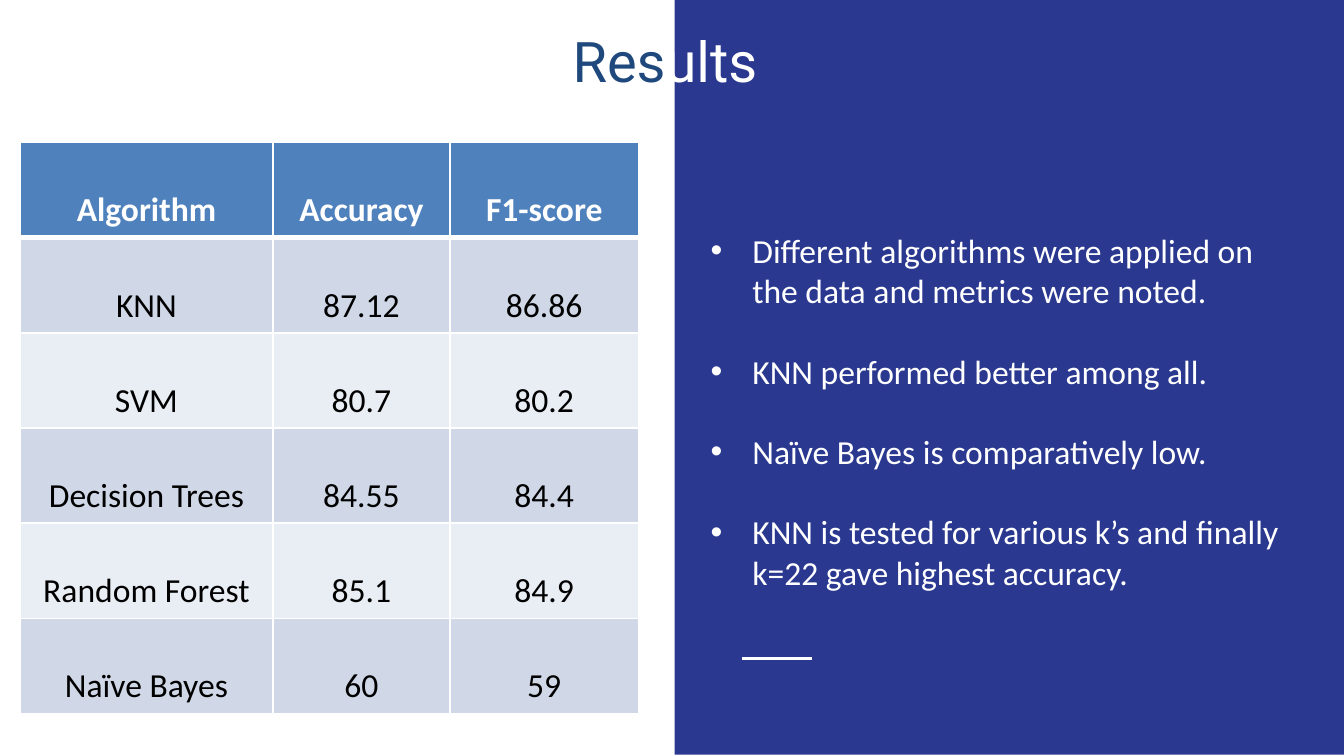
from pptx import Presentation
from pptx.dml.color import RGBColor as RGB
from pptx.enum.shapes import MSO_CONNECTOR as CONN, MSO_SHAPE as SHAPE
from pptx.enum.text import MSO_ANCHOR as ANCHOR, PP_ALIGN as ALIGN
from pptx.oxml.ns import qn
from pptx.util import Inches, Pt
from lxml.etree import SubElement as sub

WHITE = RGB(0xFF, 0xFF, 0xFF)
BLACK = RGB(0x00, 0x00, 0x00)
NAVY = RGB(0x2A, 0x38, 0x90)
DARK = RGB(0x1F, 0x49, 0x7D)
HEAD = RGB(0x4F, 0x81, 0xBD)
BANDS = [RGB(0xE9, 0xED, 0xF4), RGB(0xD0, 0xD8, 0xE8)]


def style(run, color, size=18, name="Calibri", bold=False):
    font = run.font
    font.name, font.size, font.bold = name, Pt(size), bold
    font.color.rgb = color


# Widescreen slide, 16 to 9
deck = Presentation()
deck.slide_width = wide = Inches(10)
deck.slide_height = high = wide * 9 // 16
slide = deck.slides.add_slide(deck.slide_layouts[6])
shapes = slide.shapes

# Right panel, half the slide wide
panel = shapes.add_shape(SHAPE.RECTANGLE, Inches(5.02), Inches(-0.01),
                         wide // 2, high)
panel.shadow.inherit = False
panel.fill.solid()
panel.fill.fore_color.rgb = NAVY
panel.line.fill.background()

# Short rule under the bullets
level = Inches(4.9)
rule = shapes.add_connector(CONN.STRAIGHT, Inches(5.52), level, Inches(6.04), level)
rule.line.color.rgb = WHITE
rule.line.width = Pt(1.5)
sub(rule.element.spPr, qn("a:effectLst"))

# Title, coloured by the half it stands on
title = shapes.add_textbox(Inches(4.25), Inches(0.18), Inches(1.88), Inches(0.53))
frame = title.text_frame
frame.word_wrap = True
frame.margin_left = Inches(0.01)
frame.margin_top = Inches(0.02)
frame.margin_right = frame.margin_bottom = 0
for word, color in [("Res", DARK), ("ults", WHITE)]:
    run = frame.paragraphs[0].add_run()
    run.text = word
    style(run, color, 30, "Roboto")

# Score table
rows = [
    ("Algorithm", "Accuracy", "F1-score"),
    ("KNN", "87.12", "86.86"),
    ("SVM", "80.7", "80.2"),
    ("Decision Trees", "84.55", "84.4"),
    ("Random Forest", "85.1", "84.9"),
    ("Naïve Bayes", "60", "59"),
]
grid = shapes.add_table(len(rows), 3, Inches(0.15), Inches(1.06),
                        Inches(4.6), Inches(4.25)).table
for col, width in zip(grid.columns, (1.88, 1.32, 1.4)):
    col.width = Inches(width)
for r, row in enumerate(rows):
    for c, text in enumerate(row):
        cell = grid.cell(r, c)
        cell.text_frame.text = text
        cell.vertical_anchor = ANCHOR.BOTTOM
        if r == 0:
            # Heavy line below the header
            edge = sub(cell._tc.get_or_add_tcPr(), qn("a:lnB"), w=str(Pt(3)))
            sub(sub(edge, qn("a:solidFill")), qn("a:srgbClr"), val=str(WHITE))
        cell.fill.solid()
        cell.fill.fore_color.rgb = BANDS[r % 2] if r else HEAD
        para = cell.text_frame.paragraphs[0]
        para.alignment = ALIGN.CENTER
        style(para.runs[0], BLACK if r else WHITE, bold=r == 0)

# Findings
notes = [
    "Different algorithms were applied on the data and metrics were noted.",
    "KNN performed better among all.",
    "Naïve Bayes is comparatively low.",
    "KNN is tested for various k’s and finally k=22 gave highest accuracy.",
]
box = shapes.add_textbox(Inches(5.19), Inches(1.06), Inches(4.5), Inches(3.74))
frame = box.text_frame
frame.word_wrap = True
frame.margin_top = Inches(0.65)
frame.text = "\n".join(notes)
indent = Inches(0.31)
for para in frame.paragraphs:
    para.space_after = Pt(21.5)
    style(para.runs[0], WHITE)
    props = para._p.get_or_add_pPr()
    props.set("marL", str(indent))
    props.set("indent", str(-indent))
    sub(props, qn("a:buFont"), typeface="Arial")
    sub(props, qn("a:buChar"), char="•")

deck.save("out.pptx")
